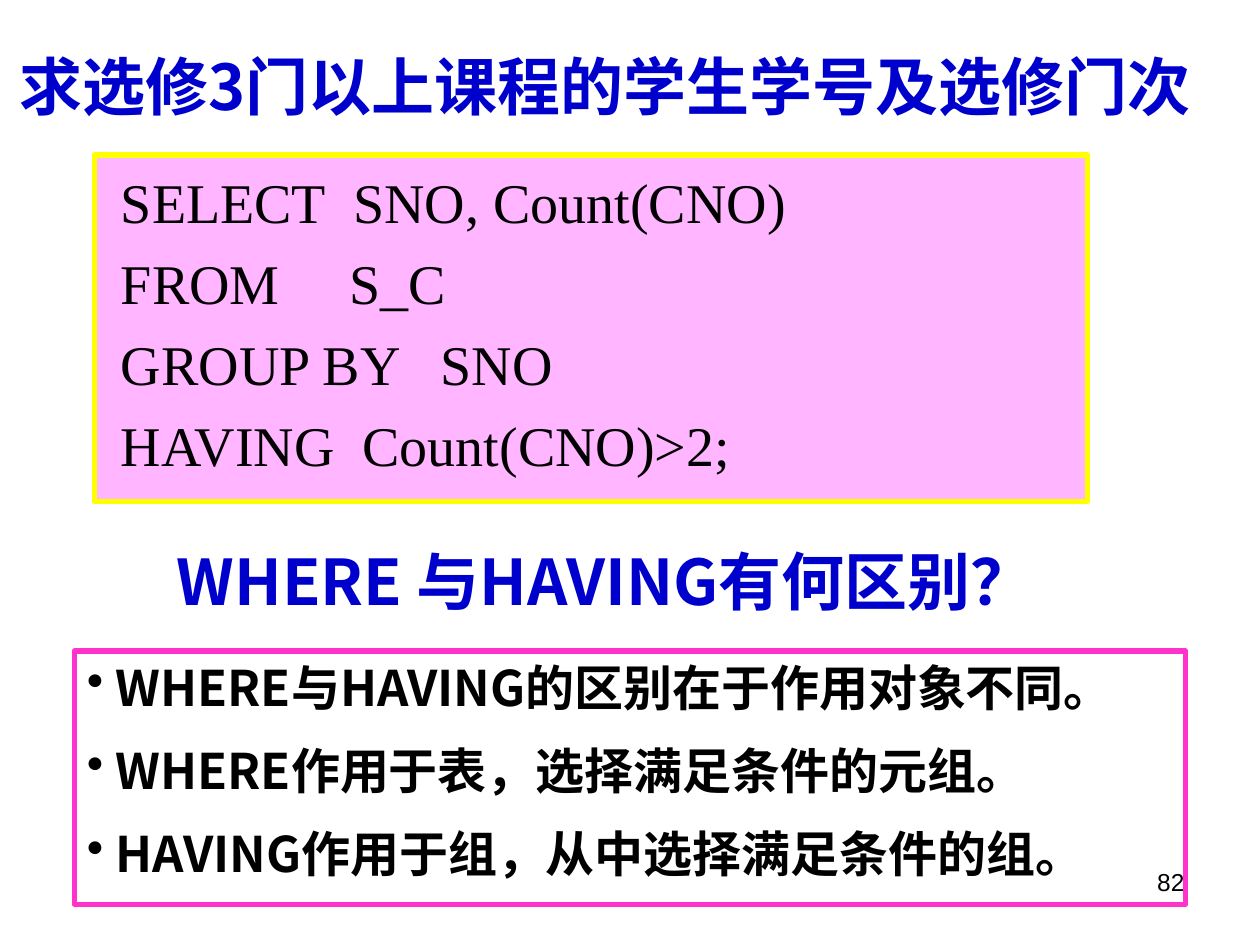
from dataclasses import dataclass

from pptx import Presentation
from pptx.dml.color import RGBColor as Color
from pptx.enum.shapes import MSO_SHAPE as Shape
from pptx.enum.text import MSO_ANCHOR as Anchor, MSO_AUTO_SIZE as AutoSize, PP_ALIGN as Align
from pptx.oxml.ns import qn
from pptx.util import Inches, Pt

WIDTH, HEIGHT = Inches(10), Inches(7.5)


@dataclass(frozen=True)
class Theme:
    heading: str = "0000CC"
    ink: str = "000000"
    code_fill: str = "FFB5FF"
    code_border: str = "FFFF00"
    answer_border: str = "FF33CC"
    cjk: str = "Noto Sans CJK SC"
    serif: str = "Times New Roman"
    sans: str = "Arial"
    heading_size: int = 36
    code_size: int = 32
    answer_size: int = 28
    number_size: int = 14
    border: int = 3


THEME = Theme()
QUERY = [
    " SELECT  SNO, Count(CNO)",
    " FROM     S_C",
    " GROUP BY   SNO",
    " HAVING  Count(CNO)>2;",
]
ANSWER = [
    "WHERE与HAVING的区别在于作用对象不同。",
    "WHERE作用于表，选择满足条件的元组。",
    "HAVING作用于组，从中选择满足条件的组。",
]
HEADING = dict(font=THEME.cjk, size=THEME.heading_size, color=THEME.heading,
               bold=True, align=Align.CENTER, anchor=Anchor.MIDDLE)


def area(left, top, width, height):
    """Turn shares of the slide's size into lengths."""
    return (int(WIDTH * left), int(HEIGHT * top),
            int(WIDTH * width), int(HEIGHT * height))


def add_bullet(para, hang):
    props = para._p.get_or_add_pPr()
    props.set("marL", str(hang))
    props.set("indent", str(-hang))
    props.append(props.makeelement(qn("a:buChar"), {"char": "•"}))


def write(shape, lines, *, font, size, color, bold=False, align=Align.LEFT,
          anchor=Anchor.TOP, gap=0, bullet_hang=None, top_inset=0.05):
    """Fill a shape with one paragraph per line of text."""
    frame = shape.text_frame
    frame.word_wrap = True
    frame.auto_size = AutoSize.NONE
    frame.vertical_anchor = anchor
    frame.margin_left = frame.margin_right = Inches(0.1)
    frame.margin_top, frame.margin_bottom = Inches(top_inset), Inches(0.05)
    for index, line in enumerate(lines):
        para = frame.add_paragraph() if index else frame.paragraphs[0]
        para.alignment = align
        para.space_before = Pt(gap if index else 0)
        if bullet_hang:
            add_bullet(para, bullet_hang)
        span = para.add_run()
        span.text = line
        span.font.name, span.font.size, span.font.bold = font, Pt(size), bold
        span.font.color.rgb = Color.from_string(color)
        # East Asian characters take their own typeface element
        props = span._r.get_or_add_rPr()
        props.append(props.makeelement(qn("a:ea"), {"typeface": font}))


def add_title(page, place, text):
    title = page.shapes.title
    title.left, title.top, title.width, title.height = place
    write(title, [text], **HEADING)


def add_text(page, place, text, **style):
    write(page.shapes.add_textbox(*place), [text], **style)


def add_panel(page, place, lines, *, border, fill=None, **style):
    box = page.shapes.add_shape(Shape.RECTANGLE, *place)
    box.shadow.inherit = False
    if fill:
        box.fill.solid()
        box.fill.fore_color.rgb = Color.from_string(fill)
    else:
        box.fill.background()
    box.line.color.rgb = Color.from_string(border)
    box.line.width = Pt(THEME.border)
    write(box, lines, **style)


def main():
    deck = Presentation()
    deck.slide_width, deck.slide_height = WIDTH, HEIGHT
    page = deck.slides.add_slide(deck.slide_layouts[5])

    # Page number
    add_text(page, area(0.717, 0.911, 0.233, 0.07), "82", font=THEME.sans,
             size=THEME.number_size, color=THEME.ink, align=Align.RIGHT)

    # Task and its query
    add_title(page, area(0, 0.028, 0.961, 0.125), "求选修3门以上课程的学生学号及选修门次")
    add_panel(page, area(0.075, 0.164, 0.788, 0.367), QUERY,
              fill=THEME.code_fill, border=THEME.code_border, font=THEME.serif,
              size=THEME.code_size, color=THEME.ink, gap=7.8, top_inset=0.1)

    # Question and its answer
    add_panel(page, area(0.059, 0.689, 0.882, 0.268), ANSWER,
              border=THEME.answer_border, font=THEME.cjk, size=THEME.answer_size,
              color=THEME.ink, bold=True, gap=14, bullet_hang=Inches(0.23))
    add_text(page, area(0, 0.552, 0.961, 0.125), "WHERE 与HAVING有何区别？", **HEADING)

    deck.save("out.pptx")


if __name__ == "__main__":
    main()
